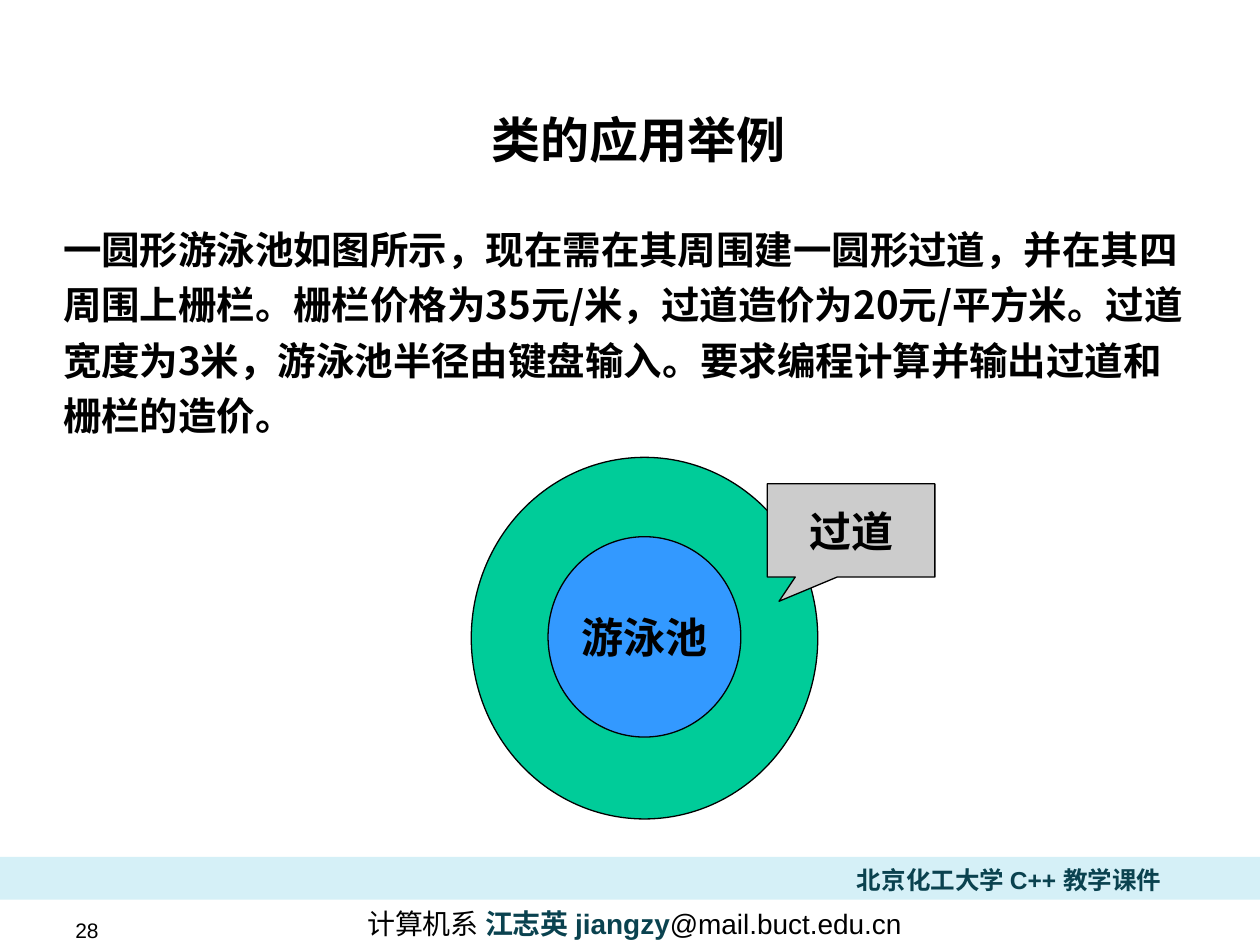
from dataclasses import dataclass
from typing import NamedTuple

from lxml.etree import SubElement
from pptx import Presentation
from pptx.dml.color import RGBColor as Rgb
from pptx.enum.shapes import MSO_SHAPE as Preset
from pptx.enum.text import MSO_ANCHOR as Anchor, PP_ALIGN as Align
from pptx.oxml.ns import qn
from pptx.util import Inches, Pt


@dataclass(frozen=True)
class Theme:
    ink: Rgb = Rgb.from_string("000000")
    teal: Rgb = Rgb.from_string("0A424F")
    band: Rgb = Rgb.from_string("D5F0F7")
    walkway: Rgb = Rgb.from_string("00CC99")
    pool: Rgb = Rgb.from_string("3399FF")
    callout: Rgb = Rgb.from_string("CCCCCC")
    latin: str = "Arial"
    label_latin: str = "Times New Roman"
    chinese: str = "Noto Sans CJK SC"
    title_size: int = 28
    label_size: int = 24
    body_size: int = 22
    contact_size: int = 16
    footer_size: int = 14
    number_size: int = 12
    outline: float = 0.75


THEME = Theme()


class Box(NamedTuple):
    left: float
    top: float
    width: float
    height: float

    def lengths(self):
        return [Inches(value) for value in self]


class Run(NamedTuple):
    text: str
    bold: bool = False
    color: Rgb = THEME.ink


class Figure(NamedTuple):
    preset: Preset
    box: Box
    fill: Rgb
    label: str = ""
    outlined: bool = True
    adjustments: tuple = ()


def write(holder, *runs: Run, size: int, latin: str = THEME.latin, align=Align.LEFT,
          anchor=Anchor.TOP, wrap: bool = True, inset=(0.1, 0.05),
          spacing: float = 1.0) -> None:
    """Put one paragraph of formatted runs into a shape's text frame."""
    frame = holder.text_frame
    frame.word_wrap = wrap
    frame.vertical_anchor = anchor
    frame.margin_left = frame.margin_right = Inches(inset[0])
    frame.margin_top = frame.margin_bottom = Inches(inset[1])
    paragraph = frame.paragraphs[0]
    paragraph.alignment = align
    paragraph.line_spacing = spacing
    paragraph.space_before = Pt(0)
    for part in runs:
        run = paragraph.add_run()
        run.text = part.text
        font = run.font
        font.size, font.bold, font.name = Pt(size), part.bold, latin
        font.color.rgb = part.color
        properties = run._r.get_or_add_rPr()
        properties.set("lang", "zh-CN")
        SubElement(properties, qn("a:ea")).set("typeface", THEME.chinese)


def add_text(slide, box: Box, *runs: Run, **style) -> None:
    write(slide.shapes.add_textbox(*box.lengths()), *runs, **style)


def add_figure(slide, figure: Figure) -> None:
    shape = slide.shapes.add_shape(figure.preset, *figure.box.lengths())
    shape.shadow.inherit = False
    shape.fill.solid()
    shape.fill.fore_color.rgb = figure.fill
    if figure.outlined:
        shape.line.color.rgb = THEME.ink
        shape.line.width = Pt(THEME.outline)
    else:
        shape.line.fill.background()
    for index, value in enumerate(figure.adjustments):
        shape.adjustments[index] = value
    if figure.label:
        write(shape, Run(figure.label, bold=True), size=THEME.label_size,
              latin=THEME.label_latin, align=Align.CENTER, anchor=Anchor.MIDDLE, wrap=False)


def add_footer(slide) -> None:
    add_text(slide, Box(2.77, 7.22, 4.53, 0.21),
             Run("计算机系 "), Run("江志英 jiangzy", True, THEME.teal),
             Run("@mail.buct.edu.cn"), size=THEME.contact_size,
             align=Align.CENTER, anchor=Anchor.MIDDLE, wrap=False)
    add_figure(slide, Figure(Preset.RECTANGLE, Box(0, 6.8, 10, 0.34), THEME.band,
                             outlined=False))
    add_text(slide, Box(0.5, 7.28, 1.06, 0.2), Run("28"), size=THEME.number_size,
             anchor=Anchor.MIDDLE)
    add_text(slide, Box(6.61, 6.82, 2.8, 0.34),
             Run("北京化工大学 C++ 教学课件", True, THEME.teal),
             size=THEME.footer_size, align=Align.CENTER)


def main() -> None:
    deck = Presentation()
    deck.slide_width, deck.slide_height = Inches(10), Inches(7.5)
    slide = deck.slides.add_slide(deck.slide_layouts[5])
    add_footer(slide)

    title = slide.shapes.title
    title.left, title.top, title.width, title.height = Box(0.61, 0.86, 8.92, 0.5).lengths()
    write(title, Run("类的应用举例", bold=True), size=THEME.title_size,
          align=Align.CENTER, inset=(0.01, 0.01))

    problem = ("一圆形游泳池如图所示，现在需在其周围建一圆形过道，并在其四周围上栅栏。"
               "栅栏价格为35元/米，过道造价为20元/平方米。过道宽度为3米，"
               "游泳池半径由键盘输入。要求编程计算并输出过道和栅栏的造价。")
    add_text(slide, Box(0.49, 1.71, 9.02, 1.79), Run(problem, bold=True),
             size=THEME.body_size, latin=THEME.chinese, inset=(0.01, 0.01), spacing=1.2)

    for figure in (
        Figure(Preset.OVAL, Box(3.74, 3.63, 2.75, 2.87), THEME.walkway),
        Figure(Preset.OVAL, Box(4.35, 4.26, 1.53, 1.59), THEME.pool, "游泳池"),
        Figure(Preset.RECTANGULAR_CALLOUT, Box(6.09, 3.84, 1.33, 0.74), THEME.callout,
               "过道", adjustments=(-0.43, 0.76)),
    ):
        add_figure(slide, figure)

    deck.save("out.pptx")


if __name__ == "__main__":
    main()
